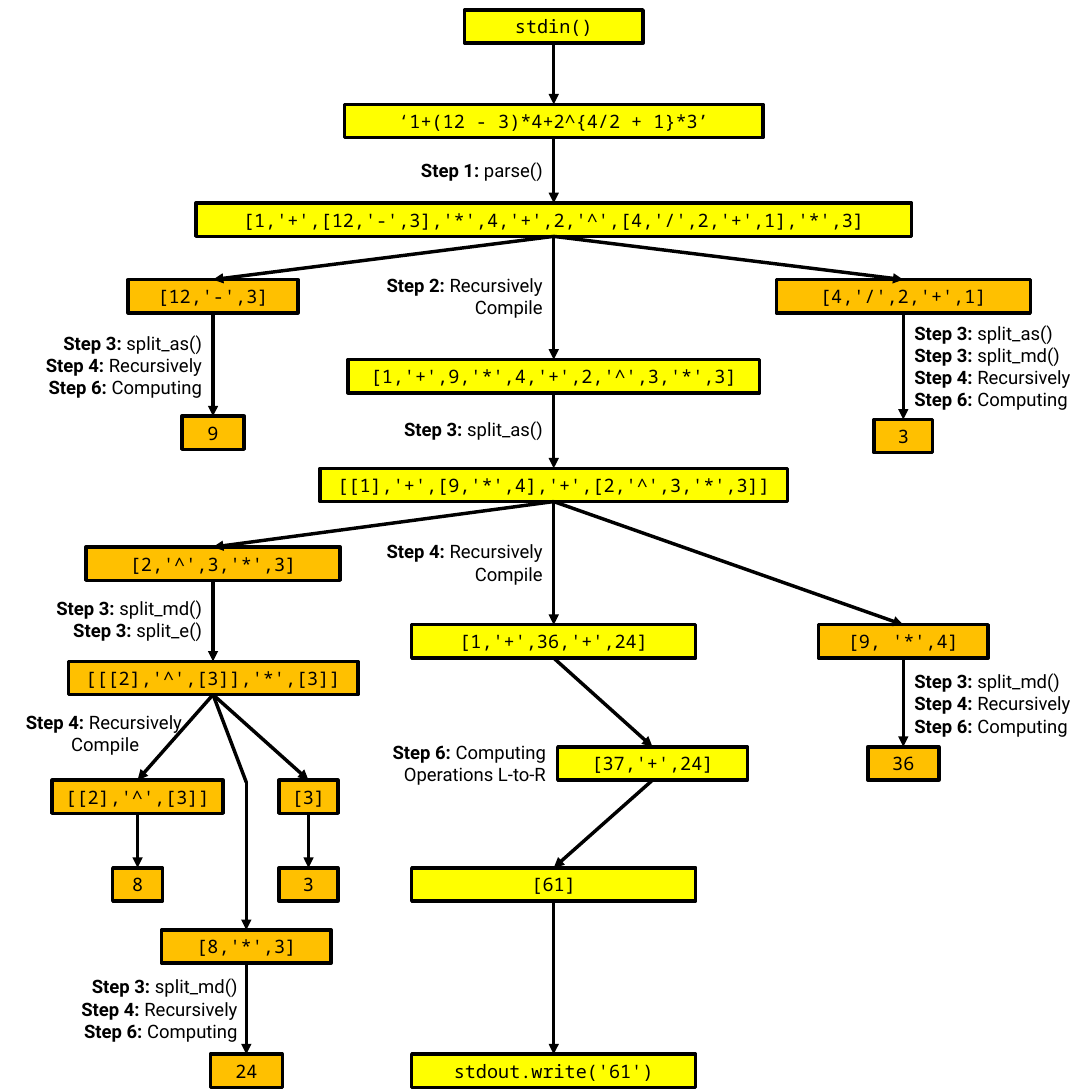
"""Draw the flow of a recursive calculator from stdin to stdout."""
from pptx import Presentation
from pptx import util as u
from pptx.dml.color import RGBColor
from pptx.enum import shapes, text as t
from pptx.oxml.ns import qn
from lxml import etree

SCALE = 9144
SIDE = 984
BOX_HEIGHT = 30
LABEL_WIDTH = 171
LINE_HEIGHT = 20
LABEL_PADDING = 10
MAIN, LEFT, RIGHT = 499, 192, 814
EIGHT, TWENTY_FOUR, THREE = 124, 222, 278
COLORS = {"main": "FFFF00", "branch": "FFC000", "ink": "000000"}
FONTS = {"code": "Noto Sans Mono", "label": "Roboto"}

# name: text, centre, top, width, colour
BOXES = {
    "input": ("stdin()", MAIN, 9, 161, "main"),
    "expression": ("‘1+(12 - 3)*4+2^{4/2 + 1}*3’", MAIN, 94, 377, "main"),
    "parsed": ("[1,'+',[12,'-',3],'*',4,'+',2,'^',[4,'/',2,'+',1],'*',3]", MAIN, 183, 645, "main"),
    "compiled": ("[1,'+',9,'*',4,'+',2,'^',3,'*',3]", MAIN, 324, 371, "main"),
    "split": ("[[1],'+',[9,'*',4],'+',[2,'^',3,'*',3]]", MAIN, 422, 421, "main"),
    "sums": ("[1,'+',36,'+',24]", MAIN, 563, 256, "main"),
    "last sum": ("[37,'+',24]", 588, 673, 171, "main"),
    "result": ("[61]", MAIN, 782, 256, "main"),
    "output": ("stdout.write('61')", MAIN, 950, 256, "main"),
    "difference": ("[12,'-',3]", LEFT, 252, 153, "branch"),
    "nine": ("9", LEFT, 375, 56, "branch"),
    "quotient": ("[4,'/',2,'+',1]", RIGHT, 252, 229, "branch"),
    "exponent": ("3", RIGHT, 378, 53, "branch"),
    "product": ("[9, '*',4]", RIGHT, 563, 153, "branch"),
    "thirty-six": ("36", RIGHT, 673, 64, "branch"),
    "power product": ("[2,'^',3,'*',3]", LEFT, 493, 229, "branch"),
    "power split": ("[[[2],'^',[3]],'*',[3]]", LEFT, 596, 261, "branch"),
    "power": ("[[2],'^',[3]]", EIGHT, 703, 154, "branch"),
    "eight": ("8", EIGHT, 782, 45, "branch"),
    "factor": ("[3]", THREE, 703, 53, "branch"),
    "three": ("3", THREE, 782, 53, "branch"),
    "last product": ("[8,'*',3]", TWENTY_FOUR, 838, 153, "branch"),
    "twenty-four": ("24", TWENTY_FOUR, 950, 65, "branch"),
}
PATHS = [
    ("input", "expression", "parsed", "compiled", "split", "sums", "last sum", "result", "output"),
    ("parsed", "difference", "nine"),
    ("parsed", "quotient", "exponent"),
    ("split", "power product", "power split", "power", "eight"),
    ("split", "product", "thirty-six"),
    ("power split", "factor", "three"),
    ("last product", "twenty-four"),
]
BEND = (TWENTY_FOUR, 705)

SPLIT_AS = ("Step 3:", "split_as()")
SPLIT_MD = ("Step 3:", "split_md()")
SPLIT_E = ("Step 3:", "split_e()")
COMPILE = ("Step 4:", "Recursively Compile")
FINISH = [("Step 4:", "Recursively"), ("Step 6:", "Computing")]
# left, top, rows, alignment, lines
LABELS = [
    (328, 138, 1, "RIGHT", [("Step 1:", "parse()")]),
    (328, 242, 2, "RIGHT", [("Step 2:", "Recursively Compile")]),
    (328, 372, 1, "RIGHT", [SPLIT_AS]),
    (328, 482, 2, "RIGHT", [COMPILE]),
    (331, 663, 2, "RIGHT", [("Step 6:", "Computing Operations L-to-R")]),
    (21, 294, 3, "RIGHT", [SPLIT_AS, *FINISH]),
    (21, 533, 2, "RIGHT", [SPLIT_MD, SPLIT_E]),
    (3, 636, 2, "RIGHT", [("Step 4:", "Recursively Compile\t")]),
    (53, 874, 3, "RIGHT", [SPLIT_MD, *FINISH]),
    (814, 285, 4, "LEFT", [SPLIT_AS, SPLIT_MD, *FINISH]),
    (814, 599, 3, "LEFT", [SPLIT_MD, *FINISH]),
]


def px(*lengths):
    return [u.Emu(round(length * SCALE)) for length in lengths]


def color(name):
    return RGBColor.from_string(COLORS[name])


def write(paragraph, text, font="label", bold=False, align="CENTER"):
    paragraph.alignment = t.PP_ALIGN[align]
    run = paragraph.add_run()
    run.text = text
    run.font.name = FONTS[font]
    run.font.size = u.Pt(12)
    run.font.bold = bold
    run.font.color.rgb = color("ink")


def outline(shape):
    shape.line.color.rgb = color("ink")
    shape.line.width = u.Pt(2.25)


def add_box(slide, text, centre, top, width, fill):
    place = px(centre - width / 2, top, width, BOX_HEIGHT)
    shape = slide.shapes.add_shape(shapes.MSO_SHAPE.RECTANGLE, *place)
    shape.shadow.inherit = False
    shape.fill.solid()
    shape.fill.fore_color.rgb = color(fill)
    outline(shape)
    shape.text_frame.word_wrap = False
    shape.text_frame.vertical_anchor = t.MSO_ANCHOR.MIDDLE
    write(shape.text_frame.paragraphs[0], text, font="code")
    return shape


def add_line(slide, start=None, end=None, arrow=True):
    line = slide.shapes.add_connector(shapes.MSO_CONNECTOR.STRAIGHT, *px(*BEND, *BEND))
    if start is not None:
        line.begin_connect(start, 2)
    if end is not None:
        line.end_connect(end, 0)
    outline(line)
    if arrow:
        etree.SubElement(line.line._get_or_add_ln(), qn("a:tailEnd"), type="triangle")
    etree.SubElement(line._element.spPr, qn("a:effectLst"))


def add_label(slide, left, top, rows, align, lines):
    place = px(left, top, LABEL_WIDTH, LABEL_PADDING + rows * LINE_HEIGHT)
    frame = slide.shapes.add_textbox(*place).text_frame
    frame.word_wrap = True
    frame.vertical_anchor = t.MSO_ANCHOR.MIDDLE
    for index, (step, action) in enumerate(lines):
        paragraph = frame.add_paragraph() if index else frame.paragraphs[0]
        write(paragraph, step, bold=True, align=align)
        write(paragraph, " " + action, align=align)


def main():
    presentation = Presentation()
    presentation.slide_width, presentation.slide_height = px(SIDE, SIDE)
    slide = presentation.slides.add_slide(presentation.slide_layouts[6])
    boxes = {name: add_box(slide, *box) for name, box in BOXES.items()}
    for stops in PATHS:
        for start, end in zip(stops, stops[1:]):
            add_line(slide, boxes[start], boxes[end])
    add_line(slide, start=boxes["power split"], arrow=False)
    add_line(slide, end=boxes["last product"])
    for label in LABELS:
        add_label(slide, *label)
    presentation.save("out.pptx")


if __name__ == "__main__":
    main()
